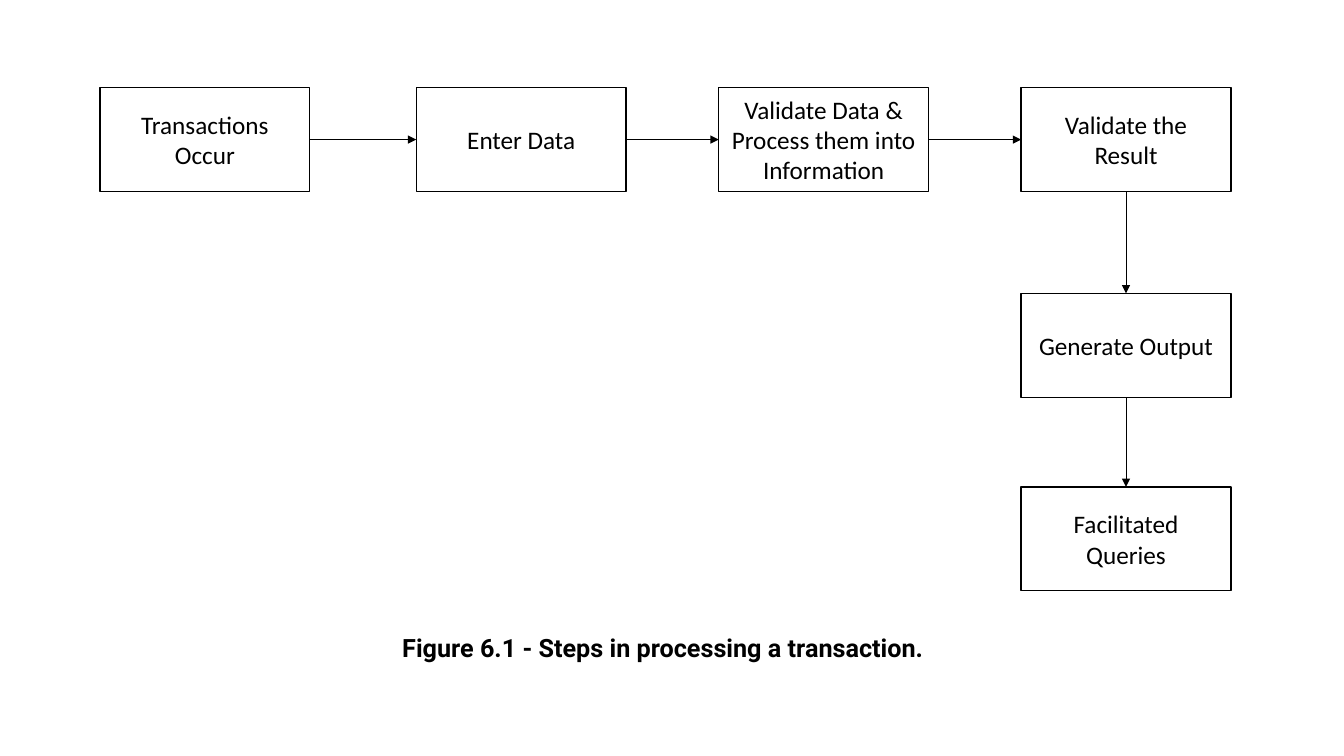
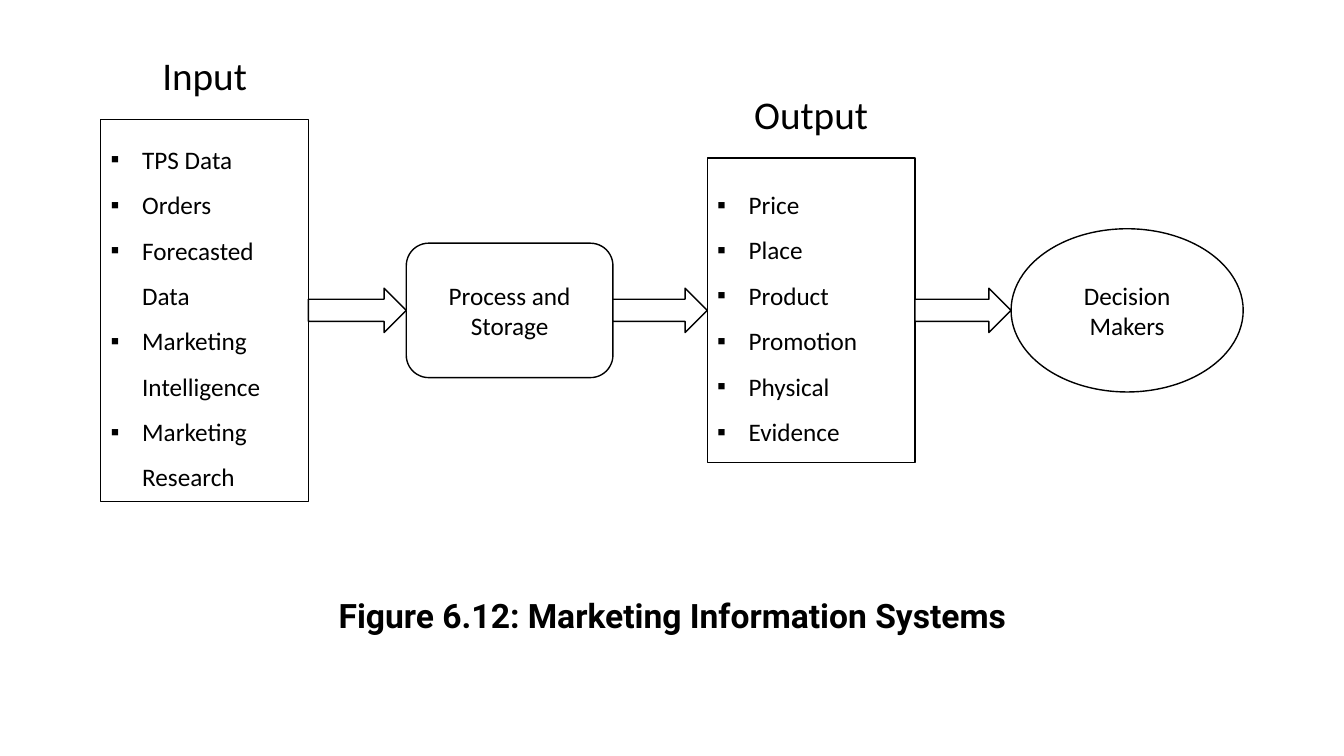
from dataclasses import dataclass
from itertools import pairwise

from lxml.etree import SubElement
from pptx import Presentation
from pptx.dml.color import RGBColor
from pptx.enum.shapes import MSO_CONNECTOR as Connector, MSO_SHAPE as Preset
from pptx.enum.text import MSO_ANCHOR as Anchor, PP_ALIGN as Align
from pptx.oxml.ns import qn
from pptx.util import Pt


@dataclass(frozen=True)
class Theme:
    ink: RGBColor = RGBColor(0, 0, 0)
    paper: RGBColor = RGBColor(255, 255, 255)
    body_font: str = "Calibri"
    caption_font: str = "Roboto"
    body_size: int = 18
    heading_size: int = 28
    large_caption_size: int = 24
    outline: float = 1
    arrow_line: float = 0.5
    bullet: str = "▪"
    bullet_indent: float = 22.5
    bullet_spacing: float = 1.5


@dataclass(frozen=True)
class Box:
    left: float
    top: float
    width: float
    height: float

    @property
    def right(self):
        return self.left + self.width

    @property
    def middle(self):
        return self.top + self.height / 2

    def lengths(self):
        return [Pt(value) for value in (self.left, self.top, self.width, self.height)]


THEME = Theme()
TOP, LEFT, BOTTOM, RIGHT = range(4)


def write(shape, lines, size=THEME.body_size, font=THEME.body_font, bold=False,
          align=Align.CENTER, anchor=Anchor.MIDDLE):
    frame = shape.text_frame
    frame.word_wrap = True
    frame.vertical_anchor = anchor
    frame.text = "\n".join(lines)
    for para in frame.paragraphs:
        para.alignment = align
        for span in para.runs:
            span.font.name = font
            span.font.size = Pt(size)
            span.font.bold = bold
            span.font.color.rgb = THEME.ink


def add_outlined(page, box, preset=Preset.RECTANGLE):
    shape = page.shapes.add_shape(preset, *box.lengths())
    shape.shadow.inherit = False
    shape.fill.solid()
    shape.fill.fore_color.rgb = THEME.paper
    shape.line.color.rgb = THEME.ink
    shape.line.width = Pt(THEME.outline)
    return shape


def add_step(page, box, label, preset=Preset.RECTANGLE):
    shape = add_outlined(page, box, preset)
    write(shape, [label])
    return shape


def add_bullet_list(page, box, items):
    shape = add_outlined(page, box)
    write(shape, items, align=Align.LEFT)
    for para in shape.text_frame.paragraphs:
        properties = para._p.get_or_add_pPr()
        properties.set("marL", str(Pt(THEME.bullet_indent)))
        properties.set("indent", str(-Pt(THEME.bullet_indent)))
        SubElement(properties, qn("a:buFont")).set("typeface", "Arial")
        SubElement(properties, qn("a:buChar")).set("char", THEME.bullet)
        para.line_spacing = THEME.bullet_spacing


def add_heading(page, list_box, label):
    overhang, height, gap = 11.5, 30, 17
    box = Box(list_box.left - overhang, list_box.top - gap - height,
              list_box.width + 2 * overhang, height)
    write(page.shapes.add_textbox(*box.lengths()), [label], THEME.heading_size)


def add_caption(page, box, label, size, align):
    write(page.shapes.add_textbox(*box.lengths()), [label], size,
          THEME.caption_font, True, align, Anchor.TOP)


def add_line_arrow(page, source, source_side, target, target_side):
    arrow = page.shapes.add_connector(Connector.STRAIGHT, 0, 0, 0, 0)
    arrow.begin_connect(source, source_side)
    arrow.end_connect(target, target_side)
    arrow.line.color.rgb = THEME.ink
    arrow.line.width = Pt(THEME.arrow_line)
    SubElement(arrow.line._get_or_add_ln(), qn("a:tailEnd")).set("type", "triangle")
    SubElement(arrow._element.spPr, qn("a:effectLst"))


def add_block_arrow(page, source, target):
    height = 31.7
    add_outlined(page, Box(source.right, source.middle - height / 2,
                           target.left - source.right, height), Preset.RIGHT_ARROW)


def build_transaction_steps(page, area):
    width, height = 149.8, 74.2
    across = [
        (0, "Transactions Occur"),
        (226, "Enter Data"),
        (442, "Validate Data & Process them into Information"),
        (658, "Validate the Result"),
    ]
    down = [(147, "Generate Output"), (285.2, "Facilitated Queries")]
    row = [add_step(page, Box(area.left + x, area.top, width, height), label)
           for x, label in across]
    last_left = area.left + across[-1][0]
    column = [row[-1]] + [
        add_step(page, Box(last_left, area.top + y, width, height), label)
        for y, label in down]
    for source, target in pairwise(row):
        add_line_arrow(page, source, RIGHT, target, LEFT)
    for source, target in pairwise(column):
        add_line_arrow(page, source, BOTTOM, target, TOP)
    add_caption(page, Box(area.left + 208.8, area.top + 385.2, 400, 29),
                "Figure 6.1 - Steps in processing a transaction.",
                THEME.body_size, Align.LEFT)


def build_marketing_system(page, area):
    def centred(x, width, height):
        return Box(area.left + x, area.middle - height / 2, width, height)

    inputs = centred(0, 148.3, 273)
    process = centred(218.2, 147.6, 96)
    outputs = centred(433.2, 148.3, 217.4)
    decision = centred(650.2, 165.8, 116.6)
    add_bullet_list(page, inputs, [
        "TPS Data", "Orders", "Forecasted Data",
        "Marketing Intelligence", "Marketing Research"])
    add_step(page, process, "Process and Storage", Preset.ROUNDED_RECTANGLE)
    add_bullet_list(page, outputs, [
        "Price", "Place", "Product", "Promotion", "Physical", "Evidence"])
    add_step(page, decision, "Decision Makers", Preset.OVAL)
    for source, target in pairwise([inputs, process, outputs, decision]):
        add_block_arrow(page, source, target)
    add_heading(page, inputs, "Input")
    add_heading(page, outputs, "Output")
    add_caption(page, Box(area.left + 147, area.top + 336, 522.7, 36),
                "Figure 6.12: Marketing Information Systems",
                THEME.large_caption_size, Align.CENTER)


def main():
    deck = Presentation()
    deck.slide_width, deck.slide_height = Pt(960), Pt(540)
    blank = deck.slide_layouts[6]
    build_transaction_steps(deck.slides.add_slide(blank), Box(71.4, 62.6, 808, 422))
    build_marketing_system(deck.slides.add_slide(blank), Box(72, 85.2, 816, 273))
    deck.save("out.pptx")


if __name__ == "__main__":
    main()
